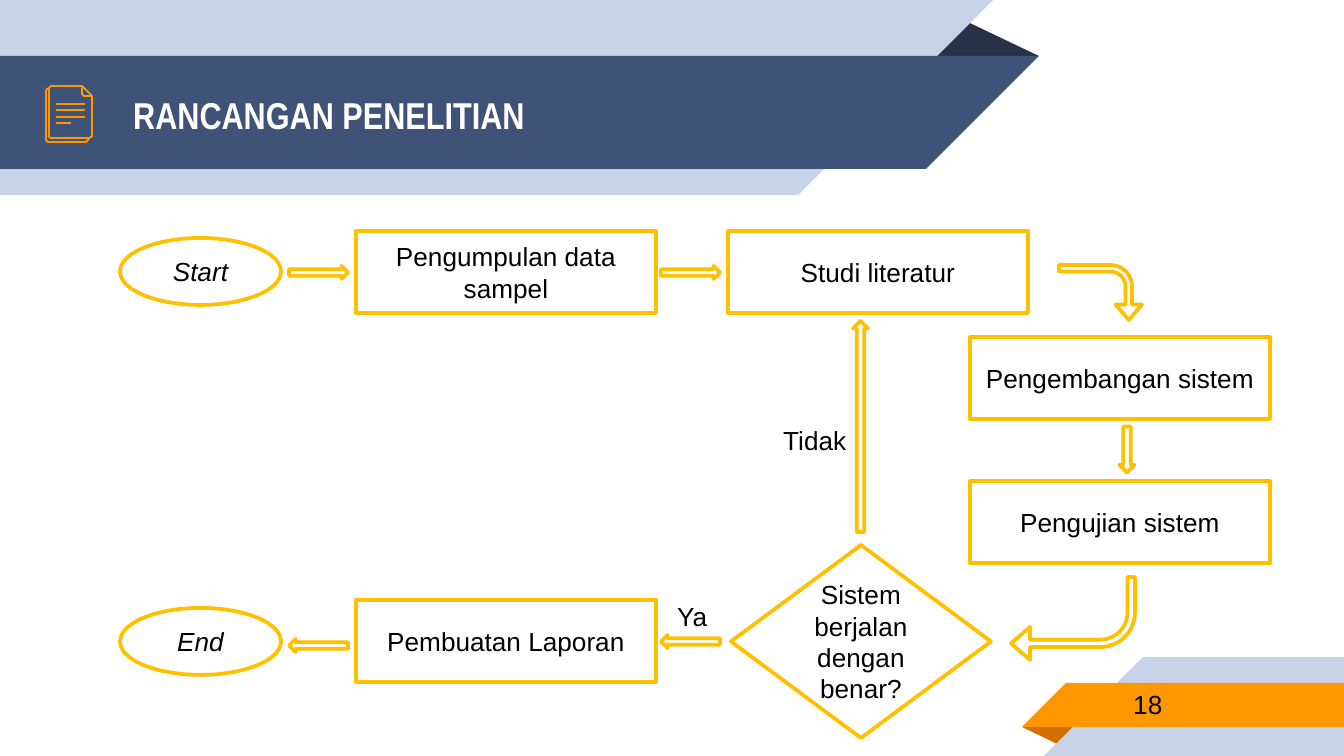
from lxml import etree
from pptx import Presentation
from pptx import util as u
from pptx.dml.color import RGBColor
from pptx.enum import shapes, text
from pptx.oxml.ns import qn

SCALE = 9144000 / 1344  # EMU per px
COLORS = {
    "pale": "C7D3E6", "blue": "3F5378", "navy": "263248",
    "orange": "FF9800", "rust": "D26F00", "amber": "FFC000",
    "white": "FFFFFF", "black": "000000",
}
KIND = shapes.MSO_SHAPE


def px(*lengths):
    return [u.Emu(round(length * SCALE)) for length in lengths]


def write(shape, content, size=14, font="Arial", color="black", bold=False,
          italic=False, align=text.PP_ALIGN.LEFT, wrap=True, inset=None):
    frame = shape.text_frame
    frame.word_wrap = wrap
    frame.vertical_anchor = text.MSO_ANCHOR.MIDDLE
    if inset is not None:
        frame.margin_left = frame.margin_right = inset
        frame.margin_top = frame.margin_bottom = inset
    para = frame.paragraphs[0]
    para.alignment = align
    span = para.add_run()
    span.text = content
    span.font.size = u.Pt(size)
    span.font.name = font
    span.font.bold = bold
    span.font.italic = italic
    span.font.color.rgb = RGBColor.from_string(COLORS[color])


deck = Presentation()
deck.slide_width, deck.slide_height = px(1344, 756)
page = deck.slides.add_slide(deck.slide_layouts[6])

# Ribbons: header at the top left, page number at the bottom right
ribbons = [
    (KIND.ISOSCELES_TRIANGLE, 925, 19, 114, 37, 0, "navy"),
    (KIND.RECTANGLE, 0, 0, 798, 195, 0, "pale"),
    (KIND.RIGHT_TRIANGLE, 798, 0, 195, 195, 90, "pale"),
    (KIND.RECTANGLE, 0, 56, 926, 113, 0, "blue"),
    (KIND.RIGHT_TRIANGLE, 926, 56, 113, 113, 90, "blue"),
    (KIND.ISOSCELES_TRIANGLE, 1022, 727, 58, 19, 180, "rust"),
    (KIND.RECTANGLE, 1143, 657, 201, 99, 0, "pale"),
    (KIND.RIGHT_TRIANGLE, 1044, 657, 99, 99, 270, "pale"),
    (KIND.RECTANGLE, 1066, 683, 278, 44, 0, "orange"),
    (KIND.RIGHT_TRIANGLE, 1022, 683, 44, 44, 270, "orange"),
]
for kind, left, top, width, height, turn, color in ribbons:
    ribbon = page.shapes.add_shape(kind, *px(left, top, width, height))
    ribbon.shadow.inherit = False
    ribbon.rotation = turn
    ribbon.fill.solid()
    ribbon.fill.fore_color.rgb = RGBColor.from_string(COLORS[color])
    ribbon.line.fill.background()
    if kind == KIND.ISOSCELES_TRIANGLE:
        ribbon.adjustments[0] = 0.32

title = page.shapes.add_textbox(*px(120, 58, 773, 113))
write(title, "RANCANGAN PENELITIAN", size=20, font="Arial Narrow",
      color="white", bold=True, inset=u.Inches(0.1))
number = page.shapes.add_textbox(*px(1120, 681, 219, 47))
write(number, "18", inset=u.Inches(0.1))

# Document icon: back sheet, front sheet, folded corner, text lines
sheets = [
    ([(89, 138), (88, 140), (86, 142), (48, 142), (46, 140), (46, 91),
      (47, 89), (49, 88)], False),
    ([(92, 96), (92, 136), (91, 137), (89, 138), (51, 138), (49, 137),
      (49, 88), (50, 87), (51, 86), (82, 86)], False),
    ([(82, 94), (82, 86), (92, 96), (84, 96), (83, 95)], True),
]
for points, closed in sheets:
    builder = page.shapes.build_freeform(*points[0], scale=SCALE)
    builder.add_line_segments(points[1:], close=closed)
    sheet = builder.convert_to_shape()
    sheet.shadow.inherit = False
    sheet.fill.background()
    sheet.line.color.rgb = RGBColor.from_string(COLORS["orange"])
    sheet.line.width = u.Pt(0.96)

for y, end in [(104, 85), (110, 85), (117, 85), (123, 71)]:
    line = page.shapes.add_connector(
        shapes.MSO_CONNECTOR.STRAIGHT, *px(56, y, end, y))
    line.line.color.rgb = RGBColor.from_string(COLORS["orange"])
    line.line.width = u.Pt(0.96)
    etree.SubElement(line._element.spPr, qn("a:effectLst"))

# Flowchart steps and block arrows
OVAL, STEP = (161, 67), (300, 82)
ARROW = (59, 13)
flow = [
    (KIND.OVAL, 120, 238, OVAL, 0, [], "Start"),
    (KIND.RECTANGLE, 356, 231, STEP, 0, [], "Pengumpulan data sampel"),
    (KIND.RECTANGLE, 728, 231, STEP, 0, [], "Studi literatur"),
    (KIND.RECTANGLE, 970, 337, STEP, 0, [], "Pengembangan sistem"),
    (KIND.RECTANGLE, 970, 481, STEP, 0, [], "Pengujian sistem"),
    (KIND.DIAMOND, 731, 545, (260, 193), 0, [],
     "Sistem berjalan dengan benar?"),
    (KIND.RECTANGLE, 356, 600, STEP, 0, [], "Pembuatan Laporan"),
    (KIND.OVAL, 120, 608, OVAL, 0, [], "End"),
    (KIND.RIGHT_ARROW, 289, 266, ARROW, 0, [], ""),
    (KIND.RIGHT_ARROW, 661, 266, ARROW, 0, [], ""),
    (KIND.RIGHT_ARROW, 661, 635, ARROW, 180, [], ""),
    (KIND.RIGHT_ARROW, 289, 639, ARROW, 180, [], ""),
    (KIND.RIGHT_ARROW, 1104, 442, (46, 15), 90, [], ""),
    (KIND.RIGHT_ARROW, 755, 419, (211, 15), 270, [], ""),
    (KIND.BENT_ARROW, 1073, 251, (55, 83), 90, [0.12, 0.24, 0.28, 0.39], ""),
    (KIND.BENT_ARROW, 1011, 577, (124, 83), 180, [0.09, 0.2, 0.23, 0.42], ""),
]
for kind, left, top, size, turn, bends, caption in flow:
    item = page.shapes.add_shape(kind, *px(left, top, *size))
    item.shadow.inherit = False
    item.rotation = turn
    item.fill.background()
    item.line.color.rgb = RGBColor.from_string(COLORS["amber"])
    item.line.width = u.Pt(2)
    for index, bend in enumerate(bends):
        item.adjustments[index] = bend
    if caption:
        write(item, caption, italic=kind == KIND.OVAL,
              align=text.PP_ALIGN.CENTER)

for answer, left, top, width in [("Tidak", 770, 417, 91), ("Ya", 664, 593, 59)]:
    label = page.shapes.add_textbox(*px(left, top, width, 46))
    write(label, answer, wrap=False)
    label.text_frame.auto_size = text.MSO_AUTO_SIZE.SHAPE_TO_FIT_TEXT

deck.save("out.pptx")
